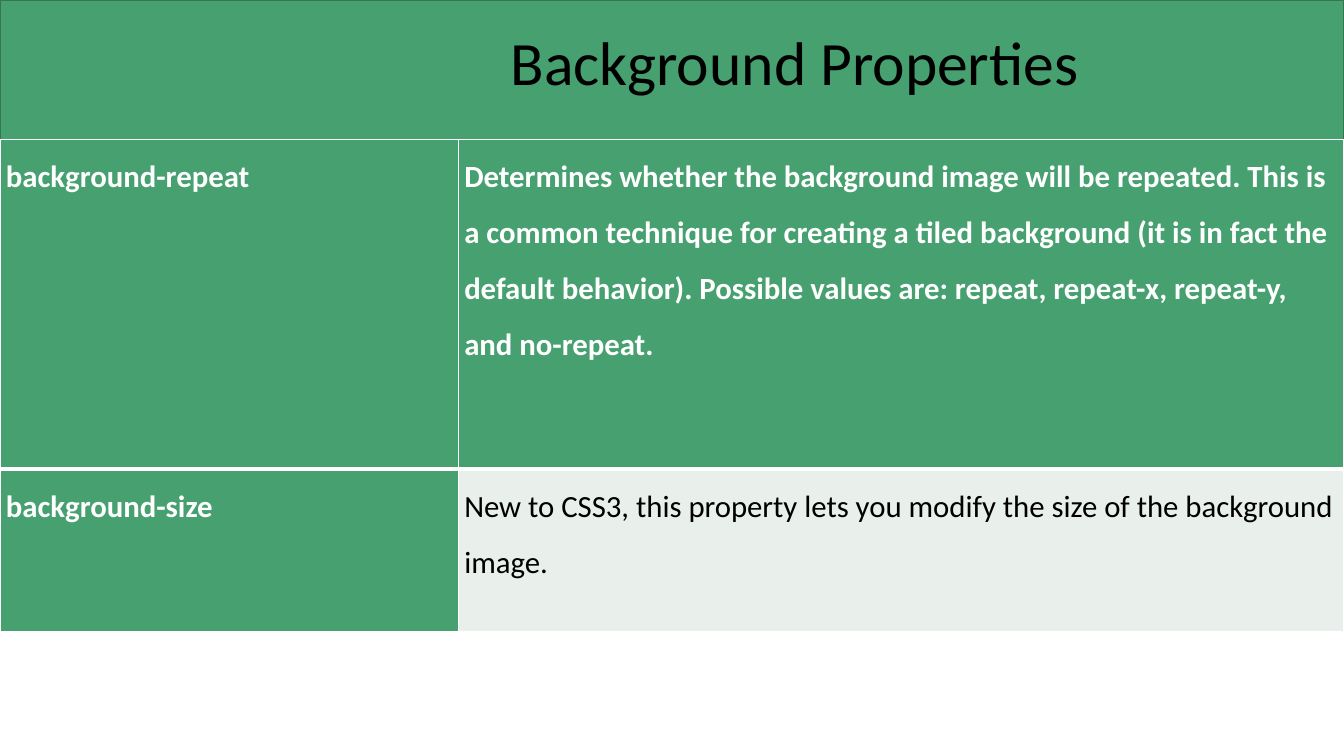
import pptx
import pptx.dml.color
import pptx.enum.shapes
import pptx.enum.text
import pptx.oxml
import pptx.oxml.ns
import pptx.util

Cm = pptx.util.Cm
Pt = pptx.util.Pt

COLORS = {
    "green": "46A06F",
    "outline": "347652",
    "pale": "E9F0EB",
    "white": "FFFFFF",
    "black": "000000",
}


class PropertySlide:
    def __init__(self, prs, font="Calibri"):
        self.font = font
        self.s = prs.slides.add_slide(prs.slide_layouts[6])

    def color(self, name):
        return pptx.dml.color.RGBColor.from_string(COLORS[name])

    def text(self, tf, text, size, color, bold=False, spacing=1.0, after=0):
        p = tf.paragraphs[0]
        p.alignment = pptx.enum.text.PP_ALIGN.LEFT
        p.line_spacing = spacing
        p.space_before = Pt(0)
        p.space_after = Pt(after)
        r = p.add_run()
        r.text = text
        r.font.name = self.font
        r.font.size = Pt(size)
        r.font.bold = bold
        r.font.color.rgb = self.color(color)

    def band(self, left, top, width, height):
        sp = self.s.shapes.add_shape(
            pptx.enum.shapes.MSO_SHAPE.RECTANGLE, left, top, width, height)
        sp.shadow.inherit = False
        sp.fill.solid()
        sp.fill.fore_color.rgb = self.color("green")
        sp.line.color.rgb = self.color("outline")
        sp.line.width = Pt(1)

    def title(self, text, left, top, width, height):
        tf = self.s.shapes.add_textbox(left, top, width, height).text_frame
        tf.word_wrap = True
        tf.vertical_anchor = pptx.enum.text.MSO_ANCHOR.MIDDLE
        self.text(tf, text, 44, "black", spacing=0.9)

    def borders(self, cell, widths):
        tc_pr = cell._tc.get_or_add_tcPr()
        for i, (side, width) in enumerate(widths.items()):
            tc_pr.insert(i, pptx.oxml.parse_xml(
                f'<a:ln{side} {pptx.oxml.ns.nsdecls("a")} w="{Pt(width)}">'
                f'<a:solidFill><a:srgbClr val="{COLORS["white"]}"/></a:solidFill>'
                f'</a:ln{side}>'))

    def cell(self, cell, text, fill, color, bold, after, widths):
        cell.margin_left = cell.margin_right = Cm(0.15)
        cell.margin_top = cell.margin_bottom = Cm(0)
        cell.fill.solid()
        cell.fill.fore_color.rgb = self.color(fill)
        self.borders(cell, widths)
        self.text(cell.text_frame, text, 22, color, bold, 1.5, after)

    def table(self, rows, left, top, col_widths, row_heights):
        table = self.s.shapes.add_table(
            len(row_heights), len(col_widths), left, top,
            sum(col_widths), sum(row_heights)).table
        for column, width in zip(table.columns, col_widths):
            column.width = width
        for row, height in zip(table.rows, row_heights):
            row.height = height
        for i, row in enumerate(rows):
            widths = {"L": 1, "R": 1, "T": 3 if i else 1, "B": 1 if i else 3}
            for j, text in enumerate(row):
                strong = i == 0 or j == 0
                self.cell(table.cell(i, j), text,
                          "green" if strong else "pale",
                          "white" if strong else "black",
                          strong, 7 * j, widths)


def main():
    prs = pptx.Presentation()
    prs.slide_width = Cm(33.87)
    prs.slide_height = Cm(19.05)
    slide = PropertySlide(prs)
    slide.band(Cm(0), Cm(0), prs.slide_width, Cm(3.63))
    slide.title("Background Properties", Cm(12.62), Cm(-0.18), Cm(29.21), Cm(3.68))
    slide.table(
        [
            ("background-repeat",
             "Determines whether the background image will be repeated. "
             "This is a common technique for creating a tiled background "
             "(it is in fact the default behavior). Possible values are: "
             "repeat, repeat-x, repeat-y, and no-repeat."),
            ("background-size",
             "New to CSS3, this property lets you modify the size of the "
             "background image."),
        ],
        Cm(0), Cm(3.51), [Cm(11.55), Cm(22.32)], [Cm(8.31), Cm(4.09)])
    prs.save("out.pptx")


if __name__ == "__main__":
    main()
